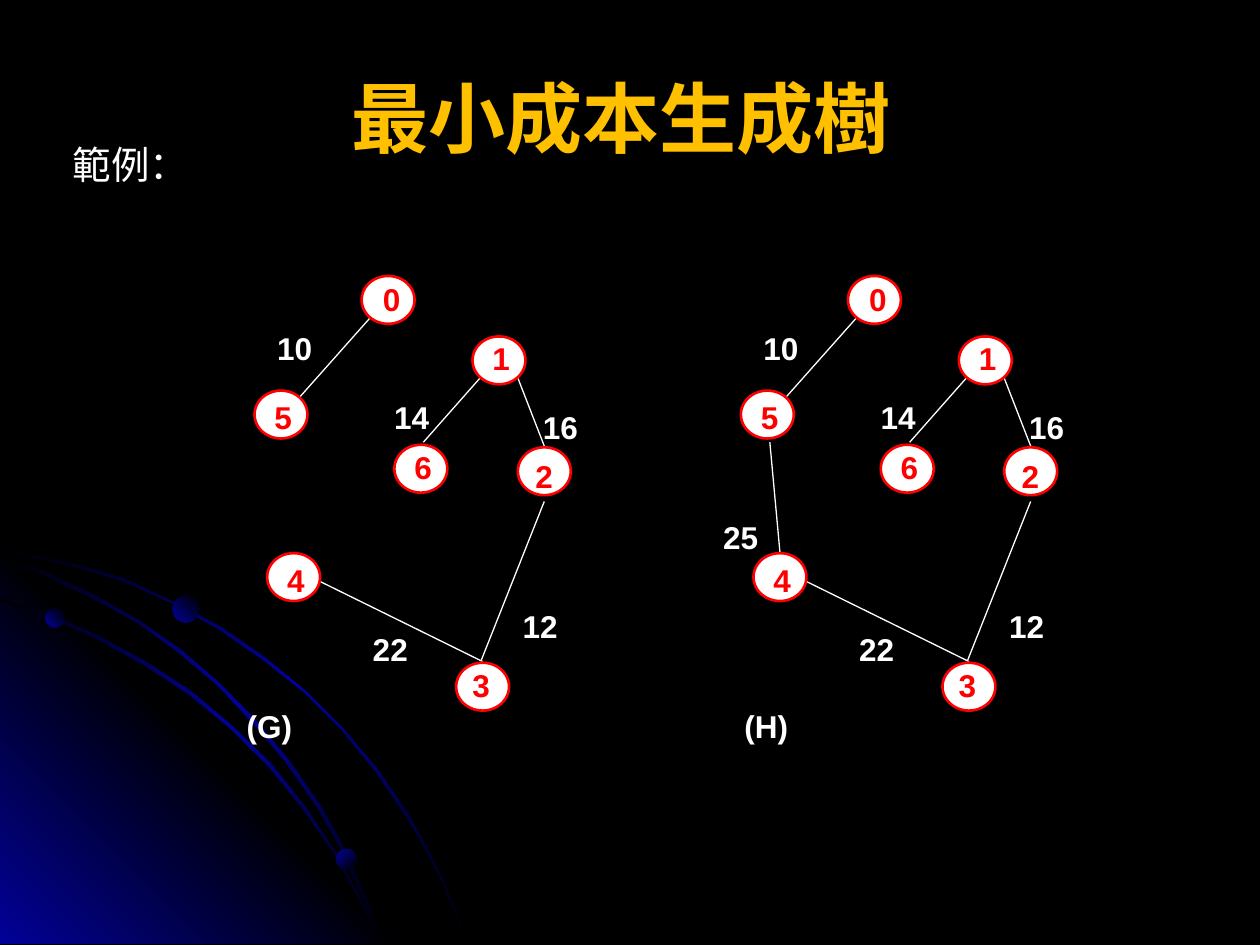
from copy import deepcopy

from lxml import etree
from pptx import Presentation
from pptx.dml.color import RGBColor
from pptx.enum import shapes, text
from pptx.oxml import ns
from pptx.util import Inches, Pt

BLACK = RGBColor(0x00, 0x00, 0x00)
BLUE = RGBColor(0x01, 0x01, 0x99)
WHITE = RGBColor(0xFF, 0xFF, 0xFF)
RED = RGBColor(0xFF, 0x00, 0x00)
GOLD = RGBColor(0xFF, 0xC0, 0x00)

NODE_WIDTH, NODE_HEIGHT = 0.42, 0.38
LABEL_HEIGHT = 0.4

NODES = [
    ("0", (0.87, 0.19), (0.94, 0.17)),
    ("1", (1.75, 0.67), (1.81, 0.64)),
    ("2", (2.11, 1.55), (2.15, 1.58)),
    ("3", (1.62, 3.26), (1.65, 3.24)),
    ("4", (0.12, 2.39), (0.18, 2.4)),
    ("5", (0.02, 1.1), (0.08, 1.11)),
    ("6", (1.13, 1.53), (1.19, 1.51)),
]
SHARED_EDGES = [
    ("10", (0.94, 0.52), (0.38, 1.15), (0.1, 0.56)),
    ("14", (1.81, 1), (1.36, 1.51), (1.03, 1.11)),
    ("16", (2.11, 1), (2.32, 1.54), (2.21, 1.19)),
    ("12", (2.32, 1.98), (1.82, 3.24), (2.05, 2.77)),
    ("22", (0.53, 2.61), (1.83, 3.25), (0.86, 2.95)),
]
ADDED_EDGE = ("25", (0.25, 1.51), (0.33, 2.38), (-0.22, 2.06))

WEDGE = [(3.22, 3.23), (0, 3.23), (0, 0.01)]
ORBITS = [
    [(0.57, 0.21), (0.28, 0.15), (0, 0.09), (0, 0.12), (0.28, 0.17),
     (0.56, 0.23), (0.97, 0.35), (1.35, 0.52), (1.73, 0.73), (2.08, 0.97),
     (2.41, 1.23), (2.71, 1.53), (2.98, 1.86), (3.23, 2.23), (3.37, 2.47),
     (3.5, 2.72), (3.6, 2.97), (3.7, 3.23), (3.72, 3.23), (3.62, 2.97),
     (3.52, 2.72), (3.39, 2.47), (3.25, 2.22), (3, 1.85), (2.72, 1.52),
     (2.42, 1.22), (2.09, 0.95), (1.74, 0.71), (1.36, 0.51), (0.98, 0.33)],
    [(2.85, 2.88), (2.94, 3.06), (3.01, 3.23), (3.03, 3.23), (2.96, 3.04),
     (2.86, 2.86), (2.66, 2.5), (2.42, 2.14), (2.15, 1.8), (1.84, 1.5),
     (1.52, 1.23), (1.17, 1), (0.79, 0.79), (0.41, 0.62), (0, 0.49),
     (0, 0.51), (0.39, 0.64), (0.77, 0.81), (1.15, 1.02), (1.5, 1.25),
     (1.83, 1.52), (2.13, 1.82), (2.4, 2.15), (2.65, 2.51)],
    [(0, 0.16), (0, 0.18), (0.36, 0.31), (0.74, 0.49), (1.09, 0.68),
     (1.42, 0.92), (1.73, 1.18), (2.02, 1.49), (2.27, 1.79), (2.52, 2.15),
     (2.67, 2.41), (2.8, 2.68), (2.92, 2.96), (3.01, 3.23), (3.03, 3.23),
     (2.94, 2.94), (2.82, 2.67), (2.69, 2.39), (2.54, 2.13), (2.29, 1.77),
     (2.04, 1.47), (1.75, 1.17), (1.44, 0.9), (1.11, 0.67), (0.76, 0.47),
     (0.39, 0.29)],
]
PLANETS = [(0.36, 0.57, 0.15, 45), (2.67, 2.48, 0.16, 315), (1.37, 0.47, 0.21, 45)]


def add_text(page, content, left, top, width, height=LABEL_HEIGHT, size=18,
             color=WHITE, bold=True, wrap=False, align=text.PP_ALIGN.LEFT,
             anchor=text.MSO_ANCHOR.TOP):
    box = page.shapes.add_textbox(Inches(left), Inches(top), Inches(width), Inches(height))
    frame = box.text_frame
    frame.word_wrap = wrap
    frame.vertical_anchor = anchor
    para = frame.paragraphs[0]
    para.alignment = align
    span = para.add_run()
    span.text = content
    span.font.name = "Arial"
    span.font.size = Pt(size)
    span.font.bold = bold
    span.font.color.rgb = color


def paint_gradient(shape, colors, angle):
    shape.shadow.inherit = False
    shape.line.fill.background()
    shape.fill.gradient()
    shape.fill.gradient_angle = angle
    stop_list = shape._element.spPr.find(ns.qn("a:gradFill")).find(ns.qn("a:gsLst"))
    for _ in colors[2:]:
        stop_list.append(deepcopy(stop_list[0]))
    for index, (stop, color) in enumerate(zip(shape.fill.gradient_stops, colors)):
        stop.position = index / (len(colors) - 1)
        stop.color.rgb = color


def add_outline(page, points, left, top):
    places = [(Inches(left + x), Inches(top + y)) for x, y in points]
    builder = page.shapes.build_freeform(*places[0])
    builder.add_line_segments(places[1:], close=True)
    return builder.convert_to_shape()


def add_orbits(page, left, top):
    paint_gradient(add_outline(page, WEDGE, left, top), [BLUE, BLACK, BLUE], 45)
    for points in ORBITS:
        paint_gradient(add_outline(page, points, left, top), [BLACK, BLUE, BLACK], 315)
    for x, y, size, angle in PLANETS:
        planet = page.shapes.add_shape(
            shapes.MSO_SHAPE.OVAL, Inches(left + x), Inches(top + y), Inches(size), Inches(size))
        paint_gradient(planet, [BLUE, BLACK], angle)


def add_edge(page, left, top, weight, start, end, label):
    edge = page.shapes.add_connector(
        shapes.MSO_CONNECTOR.STRAIGHT,
        Inches(left + start[0]), Inches(top + start[1]),
        Inches(left + end[0]), Inches(top + end[1]))
    edge.line.color.rgb = WHITE
    edge.line.width = Pt(0.75)
    etree.SubElement(edge._element.spPr, ns.qn("a:effectLst"))
    add_text(page, weight, left + label[0], top + label[1], 0.48)


def add_node(page, left, top, name, corner, label):
    node = page.shapes.add_shape(
        shapes.MSO_SHAPE.OVAL, Inches(left + corner[0]), Inches(top + corner[1]),
        Inches(NODE_WIDTH), Inches(NODE_HEIGHT))
    node.shadow.inherit = False
    node.fill.solid()
    node.fill.fore_color.rgb = WHITE
    node.line.color.rgb = RED
    node.line.width = Pt(1.5)
    add_text(page, name, left + label[0], top + label[1], 0.34, color=RED)


def add_graph(page, left, top, edges):
    for edge in edges:
        add_edge(page, left, top, *edge)
    for node in NODES:
        add_node(page, left, top, *node)


def main():
    deck = Presentation()
    deck.slide_width, deck.slide_height = Inches(10), Inches(7.5)
    page = deck.slides.add_slide(deck.slide_layouts[6])
    page.background.fill.solid()
    page.background.fill.fore_color.rgb = BLACK

    add_orbits(page, 0, 4.26)
    add_text(page, "最小成本生成樹 ", 0.5, 0.3, 9, 1.25, size=44, color=GOLD, wrap=True,
             align=text.PP_ALIGN.CENTER, anchor=text.MSO_ANCHOR.MIDDLE)
    add_text(page, "範例：", 0.48, 1.07, 1.21, 0.5, size=22, bold=False)
    add_graph(page, 2, 2, SHARED_EDGES)
    add_graph(page, 5.86, 2, SHARED_EDGES + [ADDED_EDGE])
    add_text(page, "(G)", 1.86, 5.56, 0.56)
    add_text(page, "(H)", 5.81, 5.56, 0.55)
    deck.save("out.pptx")


if __name__ == "__main__":
    main()
